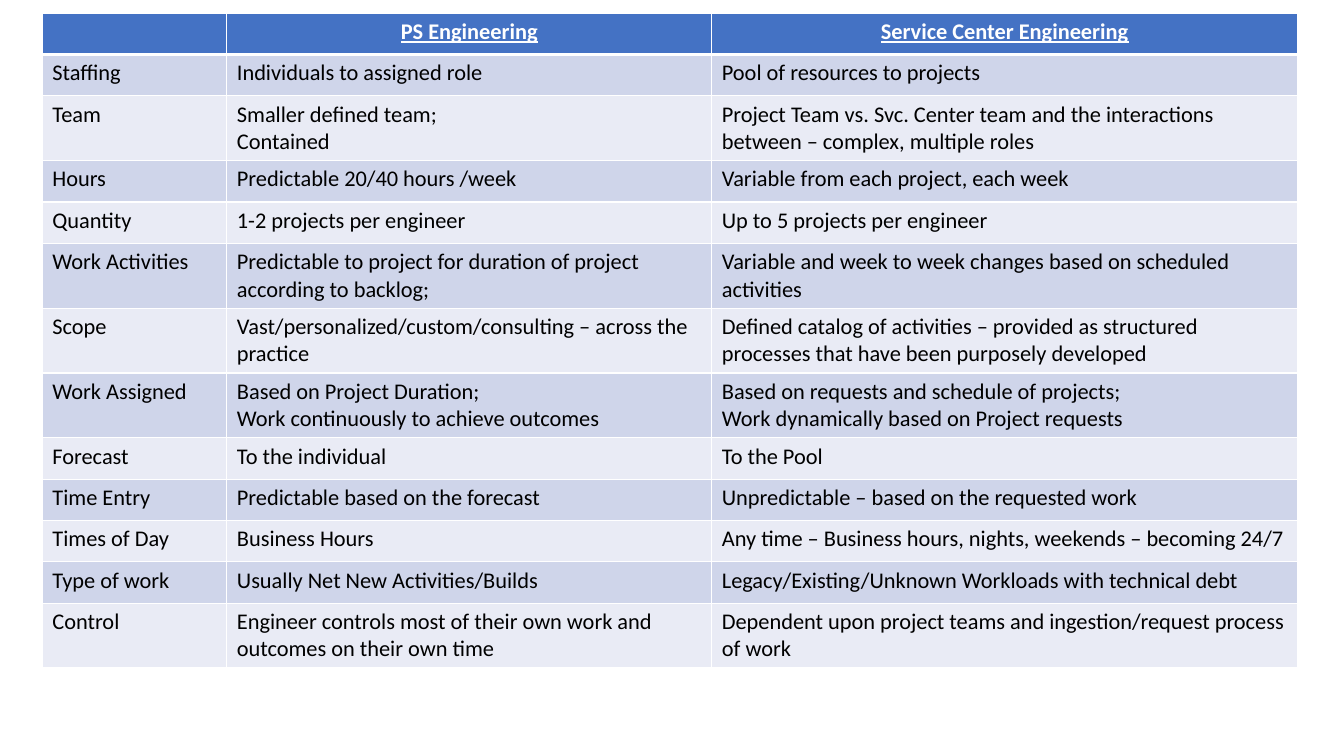
from lxml import etree
from pptx import Presentation
from pptx.dml.color import RGBColor
from pptx.enum import text
from pptx.oxml import ns
from pptx.util import Inches, Pt

COLORS = {"header": "4472C4", "odd": "CFD5EA", "even": "E9EBF5",
          "white": "FFFFFF", "black": "000000"}
FONT = "Calibri"
COLUMN_WIDTHS = [1.83, 4.81, 5.81]
ROW_HEIGHT = 0.41
COMPARISON = [
    ("", "PS Engineering", "Service Center Engineering"),
    ("Staffing", "Individuals to assigned role", "Pool of resources to projects"),
    ("Team", "Smaller defined team;\vContained",
     "Project Team vs. Svc. Center team and the interactions between – complex, multiple roles"),
    ("Hours", "Predictable 20/40 hours /week", "Variable from each project, each week"),
    ("Quantity", "1-2 projects per engineer", "Up to 5 projects per engineer"),
    ("Work Activities", "Predictable to project for duration of project according to backlog;",
     "Variable and week to week changes based on scheduled activities"),
    ("Scope", "Vast/personalized/custom/consulting – across the practice",
     "Defined catalog of activities – provided as structured processes that have been "
     "purposely developed"),
    ("Work Assigned", "Based on Project Duration;\vWork continuously to achieve outcomes",
     "Based on requests and schedule of projects;\vWork dynamically based on Project requests"),
    ("Forecast", "To the individual", "To the Pool"),
    ("Time Entry", "Predictable based on the forecast",
     "Unpredictable – based on the requested work"),
    ("Times of Day", "Business Hours",
     "Any time – Business hours, nights, weekends – becoming 24/7"),
    ("Type of work", "Usually Net New Activities/Builds",
     "Legacy/Existing/Unknown Workloads with technical debt"),
    ("Control", "Engineer controls most of their own work and outcomes on their own time",
     "Dependent upon project teams and ingestion/request process of work"),
]


def rgb(name):
    """Return the named palette colour."""
    return RGBColor.from_string(COLORS[name])


def add_borders(cell, top, bottom):
    """Give a cell white borders, with top and bottom widths in points."""
    properties = cell._tc.get_or_add_tcPr()
    for side, width in (("L", 1), ("R", 1), ("T", top), ("B", bottom)):
        line = etree.SubElement(properties, ns.qn(f"a:ln{side}"), w=str(Pt(width)))
        fill = etree.SubElement(line, ns.qn("a:solidFill"))
        etree.SubElement(fill, ns.qn("a:srgbClr"), val=COLORS["white"])


def fill_cell(cell, wording, row):
    """Write and format one cell according to its row."""
    is_header = row == 0
    add_borders(cell, top=3 if row == 1 else 1, bottom=3 if is_header else 1)
    cell.fill.solid()
    cell.fill.fore_color.rgb = rgb("header" if is_header else "odd" if row % 2 else "even")
    cell.text = wording
    paragraph = cell.text_frame.paragraphs[0]
    paragraph.alignment = text.PP_ALIGN.CENTER if is_header else text.PP_ALIGN.LEFT
    font = paragraph.font
    font.name, font.size = FONT, Pt(16)
    font.bold = font.underline = is_header
    font.color.rgb = rgb("white" if is_header else "black")


def add_comparison(slide, left, top):
    """Place the engineering comparison table at the given corner in inches."""
    comparison = slide.shapes.add_table(
        len(COMPARISON), len(COLUMN_WIDTHS), Inches(left), Inches(top),
        Inches(sum(COLUMN_WIDTHS)), Inches(ROW_HEIGHT * len(COMPARISON))).table
    for column, width in zip(comparison.columns, COLUMN_WIDTHS):
        column.width = Inches(width)
    for row, wordings in enumerate(COMPARISON):
        comparison.rows[row].height = Inches(ROW_HEIGHT)
        for column, wording in enumerate(wordings):
            fill_cell(comparison.cell(row, column), wording, row)


def main():
    """Build and save the slide."""
    deck = Presentation()
    deck.slide_width, deck.slide_height = Inches(13.33), Inches(7.5)
    slide = deck.slides.add_slide(deck.slide_layouts[6])
    add_comparison(slide, left=0.42, top=0.13)
    deck.save("out.pptx")


if __name__ == "__main__":
    main()
